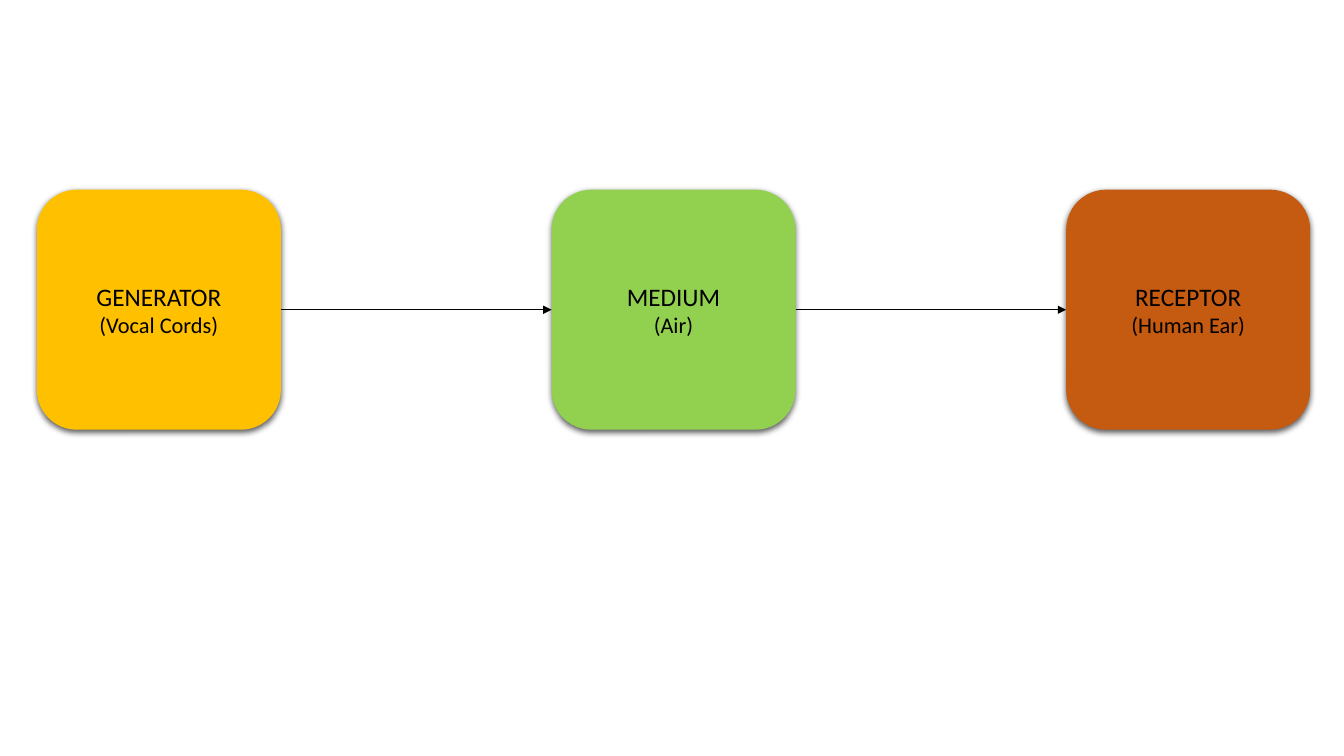
from dataclasses import dataclass
from itertools import pairwise

from lxml import etree
from pptx import Presentation
from pptx import util as u
from pptx.dml.color import RGBColor
from pptx.enum import shapes, text
from pptx.oxml import ns


@dataclass(frozen=True)
class Theme:
    """Colours, font and type sizes of the slide."""
    font: str = "Calibri"
    ink: str = "000000"
    generator: str = "FFC000"
    medium: str = "92D050"
    receptor: str = "C55A11"
    title_size: int = 18
    detail_size: int = 16
    line_width: float = 0.5


def add_element(parent, tag, **attributes):
    """Append a DrawingML element and return it."""
    return etree.SubElement(parent, ns.qn(tag), attributes)


class FlowSlide:
    """Draws stages and arrows on one slide in one theme."""

    def __init__(self, slide, theme):
        """Keep the slide and the theme."""
        self.slide = slide
        self.theme = theme

    def stage(self, kind, left, top, width, height, fill, lines):
        """Add a shadowed box with a title and a smaller detail line."""
        shape = self.slide.shapes.add_shape(
            kind, u.Cm(left), u.Cm(top), u.Cm(width), u.Cm(height))
        shape.fill.solid()
        shape.fill.fore_color.rgb = RGBColor.from_string(fill)
        shape.line.fill.background()
        self.soft_shadow(shape)
        frame = shape.text_frame
        frame.text = "\n".join(lines)
        frame.word_wrap = True
        frame.vertical_anchor = text.MSO_ANCHOR.MIDDLE
        sizes = (self.theme.title_size, self.theme.detail_size)
        for paragraph, size in zip(frame.paragraphs, sizes):
            paragraph.alignment = text.PP_ALIGN.CENTER
            font = paragraph.runs[0].font
            font.name = self.theme.font
            font.size = u.Pt(size)
            font.color.rgb = RGBColor.from_string(self.theme.ink)
        return shape

    def soft_shadow(self, shape):
        """Give a shape a soft shadow that falls straight down."""
        shape.shadow.inherit = False
        effects = shape._element.spPr.find(ns.qn("a:effectLst"))
        shadow = add_element(
            effects, "a:outerShdw", blurRad=str(u.Pt(4.5)),
            dist=str(u.Pt(1.5)), dir="5400000", algn="ctr", rotWithShape="0")
        color = add_element(shadow, "a:srgbClr", val=self.theme.ink)
        add_element(color, "a:alpha", val="63000")

    def arrow(self, source, target):
        """Connect the right side of one stage to the left side of the next."""
        connector = self.slide.shapes.add_connector(
            shapes.MSO_CONNECTOR.STRAIGHT, 0, 0, 0, 0)
        connector.begin_connect(source, 3)
        connector.end_connect(target, 1)
        connector.line.width = u.Pt(self.theme.line_width)
        connector.line.color.rgb = RGBColor.from_string(self.theme.ink)
        add_element(connector.line._get_or_add_ln(), "a:tailEnd", type="triangle")
        add_element(connector._element.spPr, "a:effectLst")


def main():
    """Build the sound chain from generator to receptor."""
    presentation = Presentation()
    presentation.slide_width = u.Cm(33.87)
    presentation.slide_height = u.Cm(19.05)
    slide = presentation.slides.add_slide(presentation.slide_layouts[6])
    theme = Theme()
    flow = FlowSlide(slide, theme)

    left, top, width, height, pitch = 0.93, 4.78, 6.15, 6.05, 12.97
    process = shapes.MSO_SHAPE.FLOWCHART_ALTERNATE_PROCESS
    rounded = shapes.MSO_SHAPE.ROUNDED_RECTANGLE
    contents = [
        (process, theme.generator, ("GENERATOR", "(Vocal Cords)")),
        (rounded, theme.medium, ("MEDIUM", "(Air)")),
        (rounded, theme.receptor, ("RECEPTOR", "(Human Ear)")),
    ]
    stages = [
        flow.stage(kind, left + index * pitch, top, width, height, fill, lines)
        for index, (kind, fill, lines) in enumerate(contents)
    ]
    for source, target in pairwise(stages):
        flow.arrow(source, target)

    presentation.save("out.pptx")


main()
